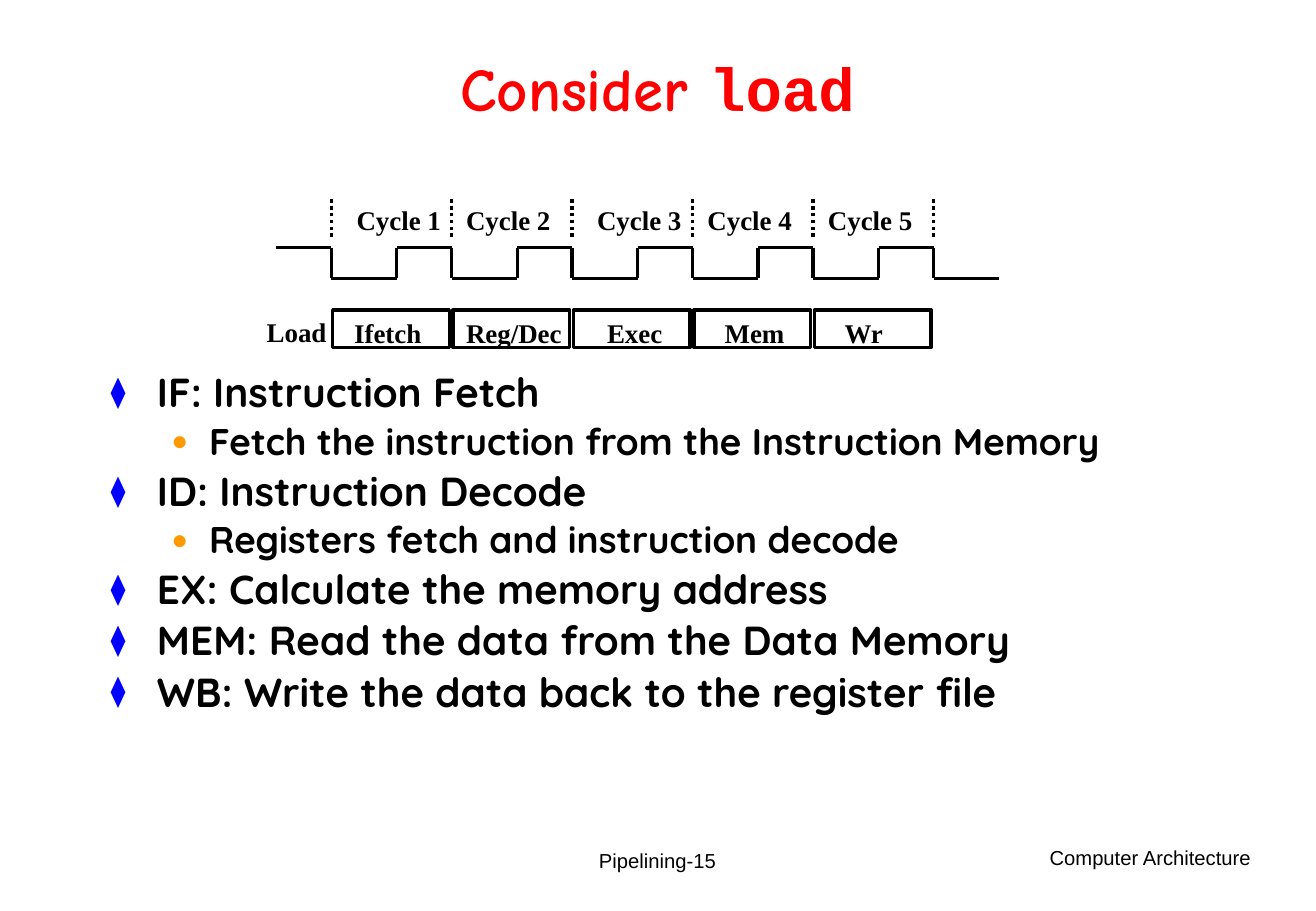
from lxml.etree import SubElement
from pptx import Presentation
from pptx.dml.color import RGBColor
from pptx.enum.dml import MSO_LINE
from pptx.enum.shapes import MSO_CONNECTOR, MSO_SHAPE
from pptx.enum.text import MSO_ANCHOR, MSO_AUTO_SIZE, PP_ALIGN
from pptx.oxml.ns import qn
from pptx.util import Cm, Pt

BLACK = RGBColor(0x00, 0x00, 0x00)
RED = RGBColor(0xFF, 0x00, 0x00)
BLUE = RGBColor(0x00, 0x00, 0xFF)
ORANGE = RGBColor(0xFF, 0x99, 0x00)

START, PERIOD, LOW = 6.93, 2.52, 1.37
TOP, BASE = 5.18, 5.82

CYCLES = [7.21, 9.5, 12.24, 14.55, 17.07]
STAGES = [("Ifetch", 0.45), ("Reg/Dec", 0.27), ("Exec", 0.7),
          ("Mem", 0.64), ("Wr", 0.63)]
STEPS = [
    (0, "IF: Instruction Fetch"),
    (1, "Fetch the instruction from the Instruction Memory"),
    (0, "ID: Instruction Decode"),
    (1, "Registers fetch and instruction decode"),
    (0, "EX: Calculate the memory address"),
    (0, "MEM: Read the data from the Data Memory"),
    (0, "WB: Write the data back to the register file"),
]
LEVELS = [
    (24, 4.5, 0.97, 0.97, "⧫", BLUE),
    (22, 4.1, 2.06, 0.79, "●", ORANGE),
]


def add_run(para, text, font, size, color=BLACK, bold=True):
    """Add one styled run to a paragraph."""
    run = para.add_run()
    run.text = text
    run.font.name = font
    run.font.size = Pt(size)
    run.font.bold = bold
    run.font.color.rgb = color


def place(shape, left, top, width, height):
    """Move and size a shape, in centimetres."""
    shape.left, shape.top = Cm(left), Cm(top)
    shape.width, shape.height = Cm(width), Cm(height)


def add_line(slide, x1, y1, x2, y2, dash=None):
    """Draw a black line without a shadow."""
    line = slide.shapes.add_connector(
        MSO_CONNECTOR.STRAIGHT, Cm(x1), Cm(y1), Cm(x2), Cm(y2))
    line.line.color.rgb = BLACK
    line.line.width = Pt(2)
    if dash:
        line.line.dash_style = dash
    SubElement(line._element.spPr, qn("a:effectLst"))


def add_label(slide, text, left, top, width, height=0.94,
              font="Times New Roman", size=16, bold=True,
              align=PP_ALIGN.LEFT, anchor=MSO_ANCHOR.TOP):
    """Add a text box with one line of text."""
    box = slide.shapes.add_textbox(Cm(left), Cm(top), Cm(width), Cm(height))
    frame = box.text_frame
    frame.word_wrap = True
    frame.vertical_anchor = anchor
    para = frame.paragraphs[0]
    para.alignment = align
    add_run(para, text, font, size, bold=bold)


def add_stage(slide, text, left, inset):
    """Add an outlined stage box with its name."""
    box = slide.shapes.add_shape(
        MSO_SHAPE.RECTANGLE, Cm(left), Cm(6.48), Cm(2.44), Cm(0.79))
    box.shadow.inherit = False
    box.fill.background()
    box.line.color.rgb = BLACK
    box.line.width = Pt(2)
    frame = box.text_frame
    frame.word_wrap = True
    frame.vertical_anchor = MSO_ANCHOR.TOP
    frame.margin_left, frame.margin_top = Cm(inset), Cm(0.13)
    frame.margin_right = frame.margin_bottom = Cm(0)
    para = frame.paragraphs[0]
    para.alignment = PP_ALIGN.LEFT
    add_run(para, text, "Times New Roman", 16)


def set_bullet(para, mark, color, left, hang):
    """Give a paragraph its indent and bullet."""
    props = para._p.get_or_add_pPr()
    props.set("marL", str(Cm(left)))
    props.set("indent", str(-Cm(hang)))
    tint = SubElement(props, qn("a:buClr"))
    SubElement(tint, qn("a:srgbClr")).set("val", str(color))
    SubElement(props, qn("a:buSzPct")).set("val", "75000")
    SubElement(props, qn("a:buChar")).set("char", mark)


def fill_title(title):
    """Format the title and write its two runs."""
    place(title, 2.06, 0.69, 23.39, 2.51)
    frame = title.text_frame
    frame.auto_size = MSO_AUTO_SIZE.NONE
    frame.vertical_anchor = MSO_ANCHOR.MIDDLE
    para = frame.paragraphs[0]
    para.alignment = PP_ALIGN.CENTER
    para.line_spacing = 0.85
    add_run(para, "Consider ", "Comic Neue", 36, RED)
    add_run(para, "load", "Courier New", 36, RED)


def fill_body(body):
    """Write the list of pipeline steps."""
    place(body, 2.06, 7.67, 23.39, 9.88)
    frame = body.text_frame
    frame.auto_size = MSO_AUTO_SIZE.NONE
    frame.vertical_anchor = MSO_ANCHOR.TOP
    for index, (level, text) in enumerate(STEPS):
        size, space, left, hang, mark, color = LEVELS[level]
        para = frame.add_paragraph() if index else frame.paragraphs[0]
        para.level = level
        para.line_spacing = 0.9
        para.space_before = Pt(space)
        set_bullet(para, mark, color, left, hang)
        add_run(para, text, "Quicksand", size)


def draw_clock(slide):
    """Draw the clock wave, its dotted marks and cycle names."""
    count = len(CYCLES)
    add_line(slide, START - 1.15, TOP, START, TOP)
    for index in range(count + 1):
        fall = START + index * PERIOD
        rise = fall + LOW
        add_line(slide, fall, TOP, fall, BASE)
        add_line(slide, fall, BASE, rise, BASE)
        add_line(slide, fall, 4.95, fall, 4.11, MSO_LINE.ROUND_DOT)
        if index < count:
            add_line(slide, rise, BASE, rise, TOP)
            add_line(slide, rise, TOP, fall + PERIOD, TOP)
    for index, left in enumerate(CYCLES, 1):
        add_label(slide, f"Cycle {index}", left, 4.14, 2.5)


def draw_stages(slide):
    """Draw the row of load stages."""
    add_label(slide, "Load", 5.33, 6.48, 2)
    for index, (text, inset) in enumerate(STAGES):
        add_stage(slide, text, START + 0.03 + index * PERIOD, inset)


def main():
    """Build and save the slide."""
    deck = Presentation()
    deck.slide_width, deck.slide_height = Cm(27.53), Cm(19.05)
    slide = deck.slides.add_slide(deck.slide_layouts[1])
    fill_title(slide.shapes.title)
    fill_body(slide.placeholders[1])
    draw_clock(slide)
    draw_stages(slide)
    add_label(slide, "Pipelining-15", 9.4, 17.35, 8.71, 1.27, "Arial", 12,
              False, PP_ALIGN.CENTER, MSO_ANCHOR.MIDDLE)
    add_label(slide, "Computer Architecture", 19.13, 17.55, 7.29, 1.27,
              "Arial", 12, False, PP_ALIGN.RIGHT)
    deck.save("out.pptx")


if __name__ == "__main__":
    main()
